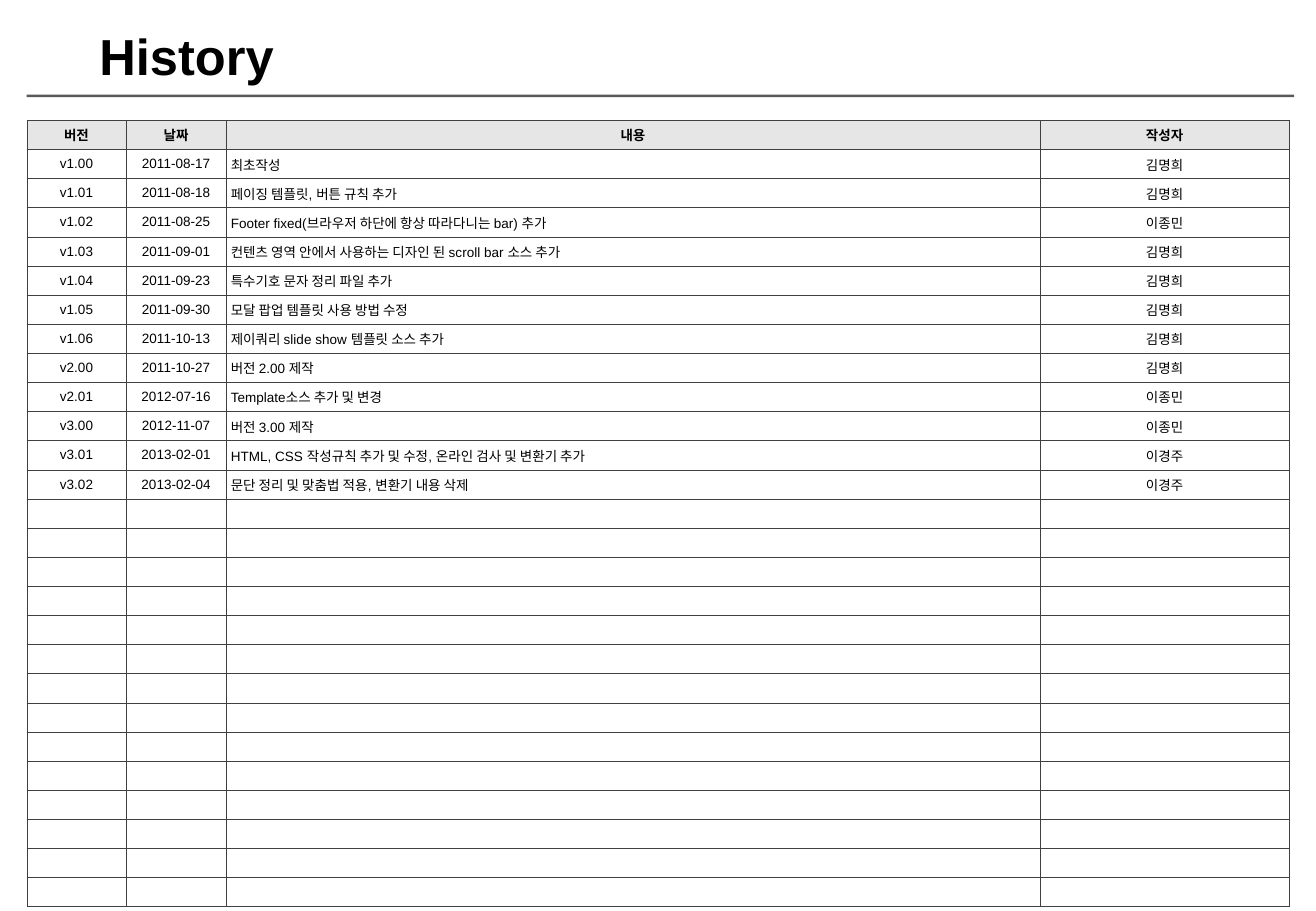
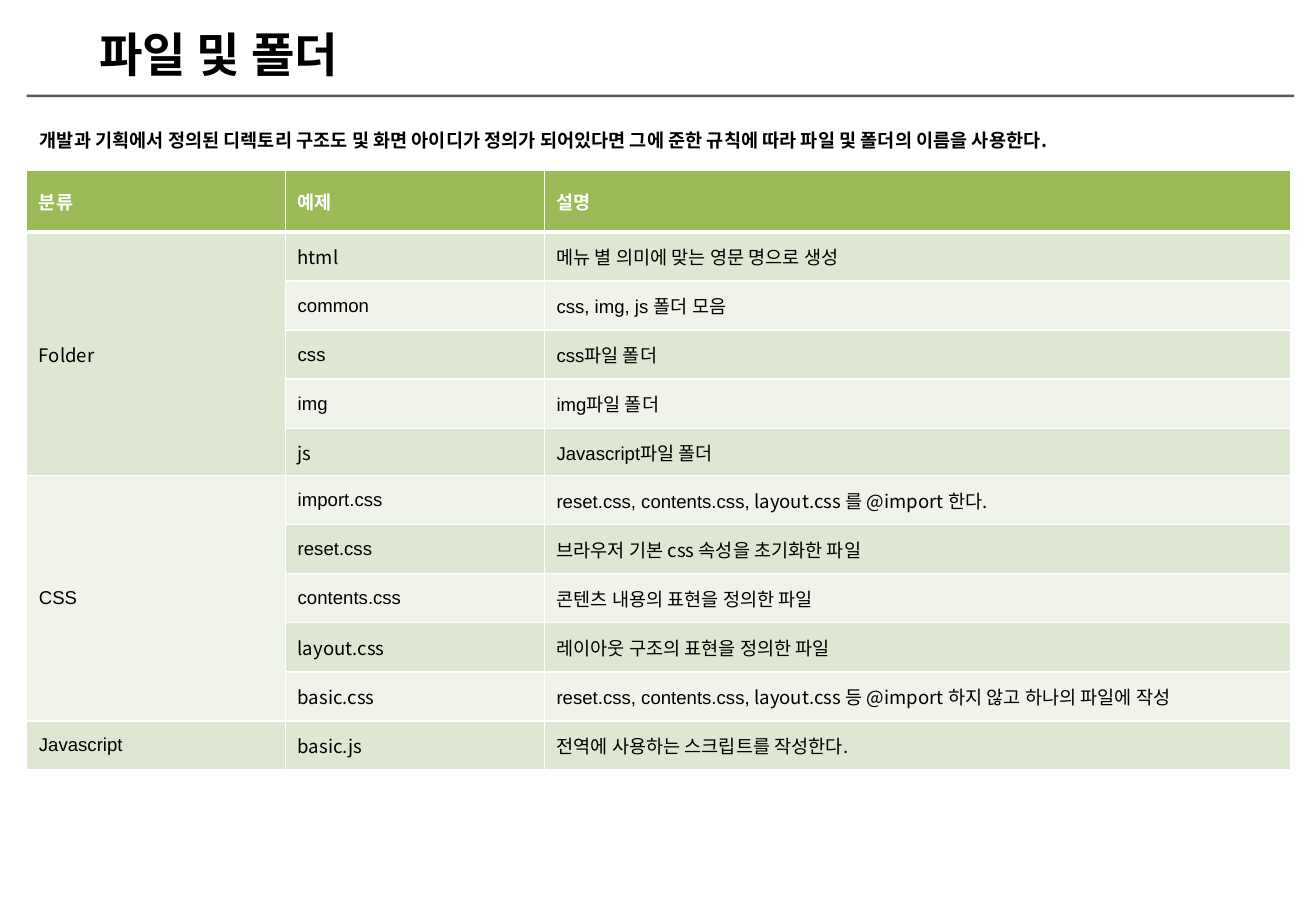
from lxml.etree import SubElement
from pptx import Presentation
from pptx.dml.color import RGBColor
from pptx.enum.shapes import MSO_SHAPE as Shape
from pptx.enum.text import MSO_ANCHOR as Anchor, MSO_AUTO_SIZE as AutoSize, PP_ALIGN as Align
from pptx.oxml.ns import qn
from pptx.util import Inches, Pt

# Shared look
COLORS = {
    "ink": "000000", "paper": "FFFFFF", "rule": "595959",
    "grid": "404040", "grey_head": "E6E6E6",
    "green_head": "9BBB59", "green_dark": "DEE7D1", "green_light": "EFF3EA",
}
ARIAL, NOTO = "Arial", "Noto Sans CJK KR"
PAGE_WIDTH, PAGE_HEIGHT = 10.83, 7.5
LEFT = 0.22

# Content: version history
HISTORY_TITLE = "History"
HISTORY_HEAD = ("버전", "날짜", "내용", "작성자")
HISTORY = [
    ("v1.00", "2011-08-17", "최초작성", "김명희"),
    ("v1.01", "2011-08-18", "페이징 템플릿, 버튼 규칙 추가", "김명희"),
    ("v1.02", "2011-08-25", "Footer fixed(브라우저 하단에 항상 따라다니는 bar) 추가", "이종민"),
    ("v1.03", "2011-09-01", "컨텐츠 영역 안에서 사용하는 디자인 된 scroll bar 소스 추가", "김명희"),
    ("v1.04", "2011-09-23", "특수기호 문자 정리 파일 추가", "김명희"),
    ("v1.05", "2011-09-30", "모달 팝업 템플릿 사용 방법 수정", "김명희"),
    ("v1.06", "2011-10-13", "제이쿼리 slide show 템플릿 소스 추가", "김명희"),
    ("v2.00", "2011-10-27", "버전 2.00 제작", "김명희"),
    ("v2.01", "2012-07-16", "Template소스 추가 및 변경", "이종민"),
    ("v3.00", "2012-11-07", "버전 3.00 제작", "이종민"),
    ("v3.01", "2013-02-01", "HTML, CSS 작성규칙 추가 및 수정, 온라인 검사 및 변환기 추가", "이경주"),
    ("v3.02", "2013-02-04", "문단 정리 및 맞춤법 적용, 변환기 내용 삭제", "이경주"),
]
HISTORY_EMPTY_ROWS = 14
HISTORY_COLUMNS = (0.82, 0.82, 6.7, 2.05)
HISTORY_ROW = 0.24

# Content: files and folders; a cell is a list of (text, font) pieces
FILES_TITLE = "파일 및 폴더"
FILES_NOTE = ("개발과 기획에서 정의된 디렉토리 구조도 및 화면 아이디가 정의가 되어있다면 "
              "그에 준한 규칙에 따라 파일 및 폴더의 이름을 사용한다.")
FILES_HEAD = ("분류", "예제", "설명")
IMPORTED = ("reset.css, contents.css,", ARIAL)
FILE_GROUPS = [
    (("Folder", NOTO), [
        (("html", NOTO), [("메뉴 별 의미에 맞는 영문 명으로 생성", NOTO)]),
        (("common", ARIAL), [("css, img, js 폴더 모음", ARIAL)]),
        (("css", ARIAL), [("css파일 폴더", ARIAL)]),
        (("img", ARIAL), [("img파일 폴더", ARIAL)]),
        (("js", NOTO), [("Javascript파일 폴더", ARIAL)]),
    ]),
    (("CSS", ARIAL), [
        (("import.css", ARIAL), [IMPORTED, (" layout.css 를 @import 한다.", NOTO)]),
        (("reset.css", ARIAL), [("브라우저 기본 css 속성을 초기화한 파일", NOTO)]),
        (("contents.css", ARIAL), [("콘텐츠 내용의 표현을 정의한 파일", NOTO)]),
        (("layout.css", NOTO), [("레이아웃 구조의 표현을 정의한 파일", NOTO)]),
        (("basic.css", NOTO),
         [IMPORTED, (" layout.css 등 @import 하지 않고 하나의 파일에 작성", NOTO)]),
    ]),
    (("Javascript", ARIAL), [
        (("basic.js", NOTO), [("전역에 사용하는 스크립트를 작성한다.", NOTO)]),
    ]),
]
FILES_COLUMNS = (2.13, 2.13, 6.14)
FILES_HEIGHT, FILES_HEAD_ROW = 4.94, 0.51
FILES_SHORT_ROW, FILES_SHORT_INDEX = 0.39, 5


def color(name):
    return RGBColor.from_string(COLORS[name])


def write(para, pieces, size, ink="ink", bold=False):
    """Fill a paragraph with (text, font) pieces in one size and colour."""
    for text, face in pieces:
        span = para.add_run()
        span.text = text
        span.font.name, span.font.size, span.font.bold = face, Pt(size), bold
        span.font.color.rgb = color(ink)
        SubElement(span.font._element, qn("a:ea"), typeface=NOTO)


def add_text(page, place, pieces, size):
    box = page.shapes.add_textbox(*map(Inches, place))
    frame = box.text_frame
    frame.word_wrap, frame.auto_size = False, AutoSize.SHAPE_TO_FIT_TEXT
    para = frame.paragraphs[0]
    write(para, pieces, size, bold=True)
    return para


def add_page(deck, title, face, size, title_width, title_height):
    page = deck.slides.add_slide(deck.slide_layouts[6])
    rule = page.shapes.add_shape(Shape.RECTANGLE, *map(Inches, (LEFT, 0.78, 10.43, 0.02)))
    rule.shadow.inherit = False
    rule.fill.solid()
    rule.fill.fore_color.rgb = color("rule")
    rule.line.fill.background()
    add_text(page, (0.72, 0.16, title_width, title_height), [(title, face)], size)
    return page


def add_grid(page, top, columns, rows):
    frame = page.shapes.add_table(
        len(rows), len(columns), *map(Inches, (LEFT, top, sum(columns), sum(rows))))
    table = frame.table
    table.first_row = table.horz_banding = False
    for column, width in zip(table.columns, columns):
        column.width = Inches(width)
    for row, height in zip(table.rows, rows):
        row.height = Inches(height)
    return table


def style_cell(cell, fill, line, top=1.0, bottom=1.0, side=1.0):
    """Set fill, borders (points) and vertical centring of a cell."""
    cell.vertical_anchor = Anchor.MIDDLE
    props = cell._tc.get_or_add_tcPr()
    for tag, width in (("lnL", side), ("lnR", side), ("lnT", top), ("lnB", bottom)):
        border = SubElement(props, qn(f"a:{tag}"), w=str(int(Pt(width))))
        solid = SubElement(border, qn("a:solidFill"))
        SubElement(solid, qn("a:srgbClr"), val=COLORS[line])
    cell.fill.solid()
    cell.fill.fore_color.rgb = color(fill)


def build_history(deck):
    page = add_page(deck, HISTORY_TITLE, ARIAL, 30, 1.66, 0.6)
    blank = ("",) * len(HISTORY_HEAD)
    rows = [HISTORY_HEAD, *HISTORY, *[blank] * HISTORY_EMPTY_ROWS]
    table = add_grid(page, 0.99, HISTORY_COLUMNS, [HISTORY_ROW] * len(rows))
    for r, texts in enumerate(rows):
        for c, text in enumerate(texts):
            cell = table.cell(r, c)
            cell.margin_left = cell.margin_right = Inches(0.04)
            cell.margin_top = cell.margin_bottom = Inches(0.04)
            style_cell(cell, "paper" if r else "grey_head", "grid", 0.25, 0.25, 0.25)
            para = cell.text_frame.paragraphs[0]
            if text:
                para.alignment = Align.LEFT if r and c == 2 else Align.CENTER
                write(para, [(text, ARIAL)], 8, bold=r == 0)
            else:  # keeps an empty row as low as the others
                SubElement(para._p, qn("a:endParaRPr"), sz="800")


def build_files(deck):
    page = add_page(deck, FILES_TITLE, NOTO, 28, 2.44, 0.57)

    # Flatten the groups to rows, remembering which rows to merge
    rows, merges = [[[(text, NOTO)] for text in FILES_HEAD]], []
    for group, files in FILE_GROUPS:
        merges.append((len(rows), len(rows) + len(files) - 1))
        for index, (name, description) in enumerate(files):
            rows.append([[] if index else [group], [name], description])

    body = (FILES_HEIGHT - FILES_HEAD_ROW - FILES_SHORT_ROW) / (len(rows) - 2)
    heights = [FILES_HEAD_ROW] + [body] * (len(rows) - 1)
    heights[FILES_SHORT_INDEX] = FILES_SHORT_ROW
    table = add_grid(page, 1.4, FILES_COLUMNS, heights)
    for r, row in enumerate(rows):
        fill = ("green_light", "green_dark")[r % 2] if r else "green_head"
        for c, pieces in enumerate(row):
            cell = table.cell(r, c)
            style_cell(cell, fill, "paper", top=3 if r == 1 else 1, bottom=1 if r else 3)
            write(cell.text_frame.paragraphs[0], pieces, 11,
                  "ink" if r else "paper", bold=r == 0)
    for first, last in merges:
        if last > first:
            table.cell(first, 0).merge(table.cell(last, 0))

    # Note above the table, with a hanging indent
    note = add_text(page, (0.23, 0.92, 9.54, 0.34), [(FILES_NOTE, NOTO)], 11)
    note.line_spacing = 1.5
    props = note._p.get_or_add_pPr()
    props.set("marL", str(Inches(0.25)))
    props.set("indent", str(Inches(-0.25)))


def main():
    deck = Presentation()
    deck.slide_width, deck.slide_height = Inches(PAGE_WIDTH), Inches(PAGE_HEIGHT)
    build_history(deck)
    build_files(deck)
    deck.save("out.pptx")


if __name__ == "__main__":
    main()
